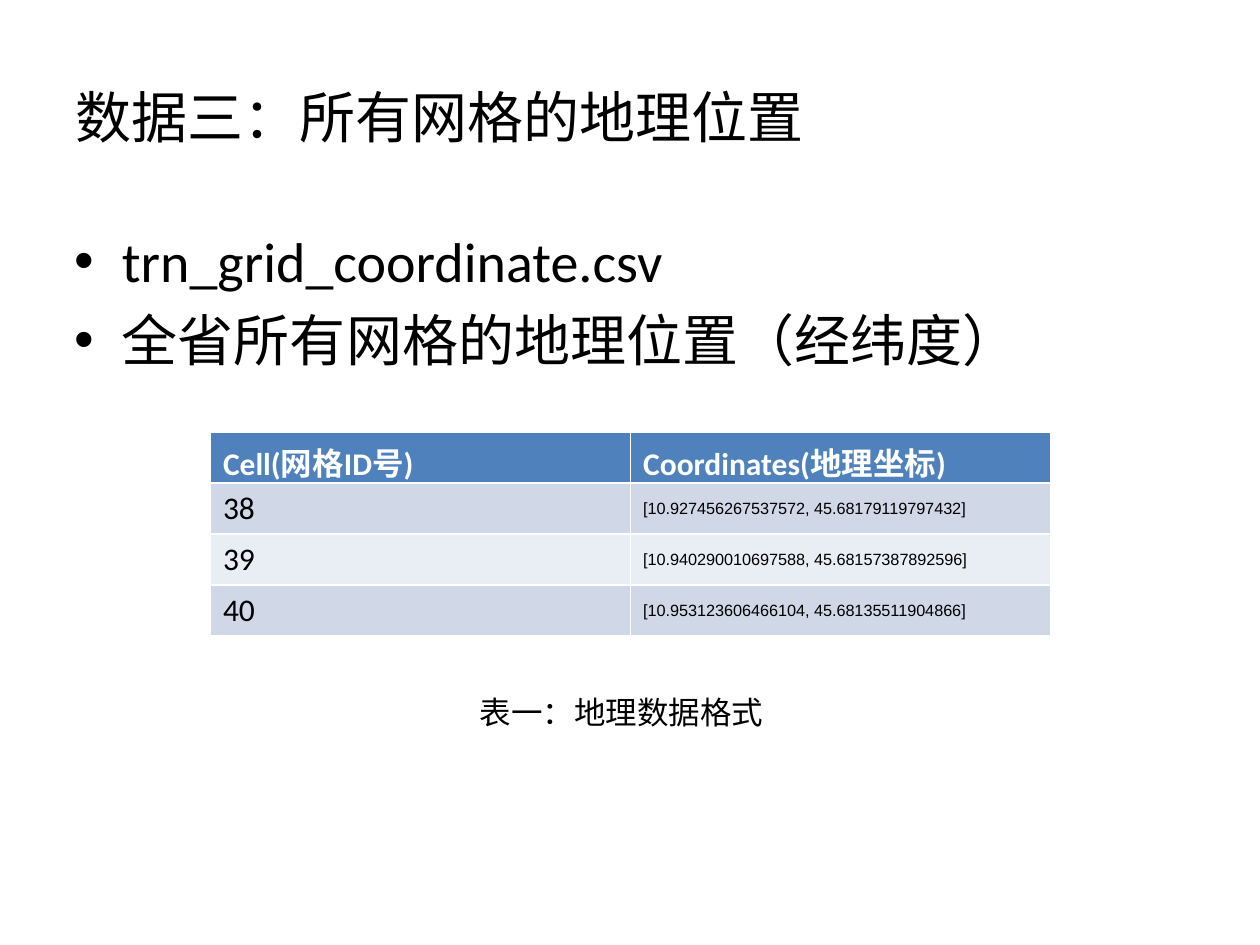
"""Build a slide on the geographic position of all grid cells."""
from lxml import etree
from pptx import Presentation
from pptx.dml.color import RGBColor
from pptx.enum.text import MSO_ANCHOR as Anchor, MSO_AUTO_SIZE as AutoSize
from pptx.oxml.ns import qn
from pptx.util import Inches, Pt


def color(value):
    return RGBColor.from_string(value)


def style(para, size, font="Calibri", ink="000000", bold=False):
    for span in para.runs:
        span.font.size = Pt(size)
        span.font.name = font
        span.font.color.rgb = color(ink)
        span.font.bold = bold


deck = Presentation()
deck.slide_width, deck.slide_height = Inches(10), Inches(7.5)
page = deck.slides.add_slide(deck.slide_layouts[6])

title = page.shapes.add_textbox(Inches(0.5), Inches(0.3), Inches(9), Inches(1.25)).text_frame
title.word_wrap = True
title.vertical_anchor = Anchor.MIDDLE
title.text = "数据三：所有网格的地理位置"
style(title.paragraphs[0], 32)

body = page.shapes.add_textbox(Inches(0.49), Inches(1.75), Inches(9), Inches(4.95)).text_frame
body.word_wrap = True
body.text = "trn_grid_coordinate.csv\n全省所有网格的地理位置（经纬度）"
for para in body.paragraphs:
    style(para, 32)
    para.space_before = Pt(6.4)
    props = para._p.get_or_add_pPr()
    props.set("marL", str(Inches(0.38)))
    props.set("indent", str(-Inches(0.38)))
    etree.SubElement(props, qn("a:buFont")).set("typeface", "Arial")
    etree.SubElement(props, qn("a:buChar")).set("char", "•")

rows = [
    ("Cell(网格ID号)", "Coordinates(地理坐标)"),
    ("38", "[10.927456267537572, 45.68179119797432]"),
    ("39", "[10.940290010697588, 45.68157387892596]"),
    ("40", "[10.953123606466104, 45.68135511904866]"),
]
table = page.shapes.add_table(
    len(rows), 2, Inches(1.67), Inches(3.43), Inches(6.67), Inches(1.62)
).table
for row, texts in enumerate(rows):
    for column, text in enumerate(texts):
        cell = table.cell(row, column)
        cell.text = text
        para = cell.text_frame.paragraphs[0]
        cell.fill.solid()
        if row == 0:
            cell.fill.fore_color.rgb = color("4F81BD")
            style(para, 18, ink="FFFFFF", bold=True)
            continue
        cell.fill.fore_color.rgb = color("D0D8E8" if row % 2 else "E9EDF4")
        if column == 0:
            style(para, 18)
        else:
            cell.vertical_anchor = Anchor.MIDDLE
            style(para, 9.3, "Arial")

caption = page.shapes.add_textbox(Inches(3.71), Inches(5.45), Inches(2.56), Inches(0.4)).text_frame
caption.word_wrap = False
caption.auto_size = AutoSize.SHAPE_TO_FIT_TEXT
caption.text = "表一：地理数据格式"
style(caption.paragraphs[0], 18)

deck.save("out.pptx")
